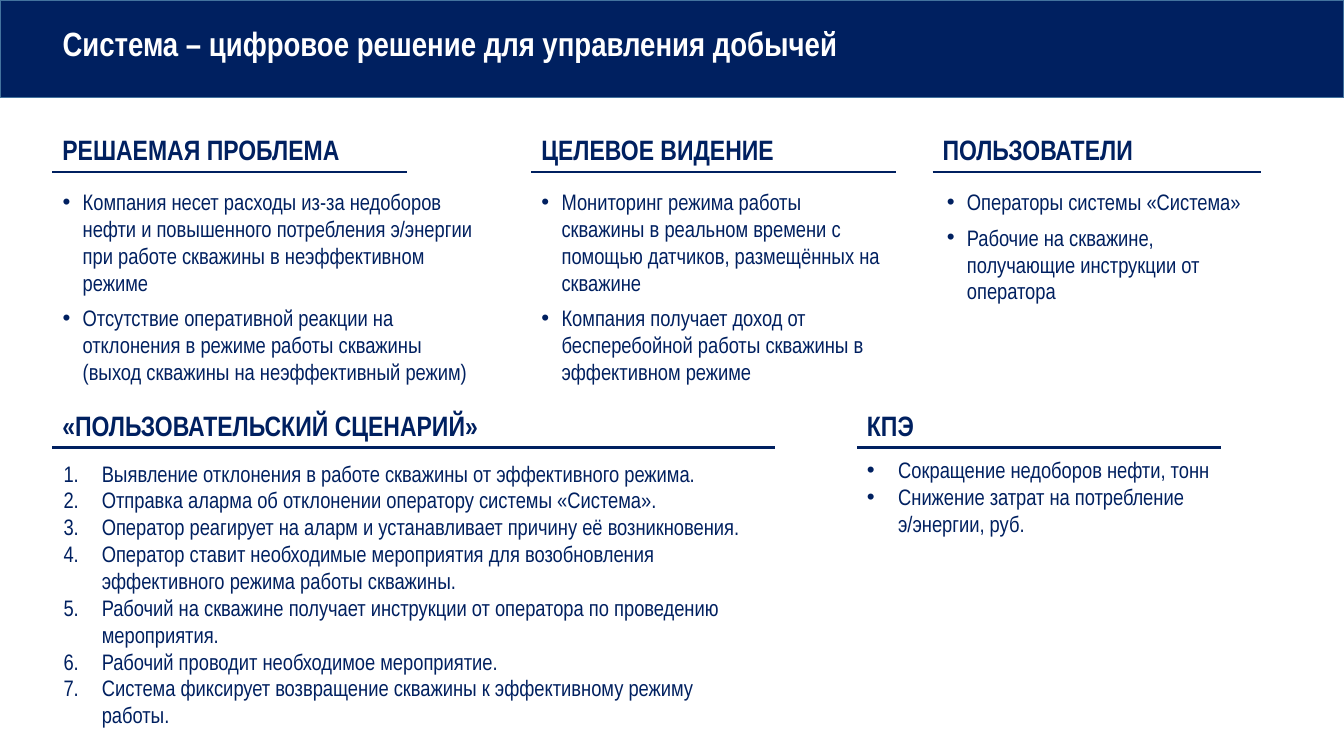
import pptx
import pptx.dml.color
import pptx.enum.shapes
import pptx.enum.text
import pptx.oxml.ns
import pptx.util
from lxml import etree

TITLE = "Система – цифровое решение для управления добычей"
# heading, column, row, rule width, list shift, list width, list style, items
SECTIONS = [
    ("РЕШАЕМАЯ ПРОБЛЕМА", "left", "top", 3.52, 0, 4.35, "spaced", [
        "Компания несет расходы из-за недоборов нефти и повышенного потребления "
        "э/энергии при работе скважины в неэффективном режиме",
        "Отсутствие оперативной реакции на отклонения в режиме работы скважины "
        "(выход скважины на неэффективный режим)"]),
    ("ЦЕЛЕВОЕ ВИДЕНИЕ", "middle", "top", 3.62, 0, 3.61, "spaced", [
        "Мониторинг режима работы скважины в реальном времени с помощью датчиков, "
        "размещённых на скважине",
        "Компания получает доход от бесперебойной работы скважины в эффективном режиме"]),
    ("ПОЛЬЗОВАТЕЛИ", "right", "top", 3.26, 0.04, 3.36, "spaced", [
        "Операторы системы «Система»",
        "Рабочие на скважине, получающие инструкции от оператора"]),
    ("«ПОЛЬЗОВАТЕЛЬСКИЙ СЦЕНАРИЙ»", "left", "bottom", 7.17, 0.01, 7.16, "numbered", [
        "Выявление отклонения в работе скважины от эффективного режима.",
        "Отправка аларма об отклонении оператору системы «Система».",
        "Оператор реагирует на аларм и устанавливает причину её возникновения.",
        "Оператор ставит необходимые мероприятия для возобновления эффективного "
        "режима работы скважины.",
        "Рабочий на скважине получает инструкции от оператора по проведению мероприятия.",
        "Рабочий проводит необходимое мероприятие.",
        "Система фиксирует возвращение скважины к эффективному режиму работы."]),
    ("КПЭ", "kpi", "bottom", 3.61, 0, 4.05, "tight", [
        "Сокращение недоборов нефти, тонн",
        "Снижение затрат на потребление э/энергии, руб."]),
]

# Grid in inches
PAGE_WIDTH, PAGE_HEIGHT = 13.33, 7.5
COLUMNS = {"left": 0.52, "middle": 5.27, "right": 9.25, "kpi": 8.5}
ROWS = {"top": 1.27, "bottom": 4.0}
HEADING_HEIGHT = 0.44
# gap under the rule, list height, indent, space after, bullet
LIST_STYLES = {
    "spaced": (0.11, 2.07, 0.2, 6, "•"),
    "numbered": (0.07, 3.06, 0.38, 0, None),
    "tight": (0.04, 1.21, 0.31, 0, "•"),
}

FONT = "Arial Narrow"
NAVY = pptx.dml.color.RGBColor(0x00, 0x20, 0x60)
EDGE = pptx.dml.color.RGBColor(0x43, 0x73, 0x9E)
WHITE = pptx.dml.color.RGBColor(0xFF, 0xFF, 0xFF)
inches = pptx.util.Inches


def place(box, left, top, width, height):
    box.left, box.top = inches(left), inches(top)
    box.width, box.height = inches(width), inches(height)


def write(box, lines, size, color, bold=False, space_after=0):
    frame = box.text_frame
    frame.text = "\n".join(lines)
    frame.word_wrap = True
    frame.auto_size = pptx.enum.text.MSO_AUTO_SIZE.NONE
    frame.vertical_anchor = pptx.enum.text.MSO_ANCHOR.TOP
    for para in frame.paragraphs:
        para.alignment = pptx.enum.text.PP_ALIGN.LEFT
        para.line_spacing = 1.0
        para.space_before = pptx.util.Pt(0)
        para.space_after = pptx.util.Pt(space_after)
        for span in para.runs:
            span.font.name = FONT
            span.font.size = pptx.util.Pt(size)
            span.font.bold = bold
            span.font.color.rgb = color


def add_bullets(box, indent, bullet):
    qn = pptx.oxml.ns.qn
    for para in box.text_frame.paragraphs:
        props = para._p.get_or_add_pPr()
        props.set("marL", str(inches(indent)))
        props.set("indent", str(-inches(indent)))
        face = FONT if bullet is None else "Arial"
        etree.SubElement(props, qn("a:buFont"), typeface=face)
        if bullet is None:
            etree.SubElement(props, qn("a:buAutoNum"), type="arabicPeriod")
        else:
            etree.SubElement(props, qn("a:buChar"), char=bullet)


def add_rule(page, left, top, width):
    rule = page.shapes.add_connector(
        pptx.enum.shapes.MSO_CONNECTOR.STRAIGHT,
        inches(left), inches(top), inches(left + width), inches(top))
    rule.line.color.rgb = NAVY
    rule.line.width = pptx.util.Pt(1.5)
    etree.SubElement(rule._element.spPr, pptx.oxml.ns.qn("a:effectLst"))


def main():
    deck = pptx.Presentation()
    deck.slide_width, deck.slide_height = inches(PAGE_WIDTH), inches(PAGE_HEIGHT)
    page = deck.slides.add_slide(deck.slide_layouts.get_by_name("Comparison"))
    title = page.shapes.title
    bodies = iter([box for box in page.placeholders
                   if box.placeholder_format.idx != 0])

    # Banner, sent behind the title
    banner = page.shapes.add_shape(
        pptx.enum.shapes.MSO_SHAPE.RECTANGLE, 0, 0, deck.slide_width, inches(0.97))
    banner.shadow.inherit = False
    banner.fill.solid()
    banner.fill.fore_color.rgb = NAVY
    banner.line.color.rgb = EDGE
    banner.line.width = pptx.util.Pt(1)
    title._element.addprevious(banner._element)
    place(title, COLUMNS["left"], 0.18, 10.88, 0.5)
    write(title, [TITLE], 24, WHITE, bold=True)

    # Sections: heading, rule and list
    for heading, column, row, rule_width, shift, width, style, items in SECTIONS:
        left, top = COLUMNS[column], ROWS[row]
        label = page.shapes.add_textbox(0, 0, 0, 0)
        place(label, left, top, max(rule_width, 3.26), HEADING_HEIGHT)
        write(label, [heading], 20, NAVY, bold=True)
        rule_top = top + HEADING_HEIGHT
        add_rule(page, left, rule_top, rule_width)

        # The layout has four bodies; the fifth list takes a text box
        gap, height, indent, space_after, bullet = LIST_STYLES[style]
        body = next(bodies, None) or page.shapes.add_textbox(0, 0, 0, 0)
        place(body, left + shift, rule_top + gap, width, height)
        write(body, items, 16, NAVY, space_after=space_after)
        add_bullets(body, indent, bullet)

    deck.save("out.pptx")


if __name__ == "__main__":
    main()
